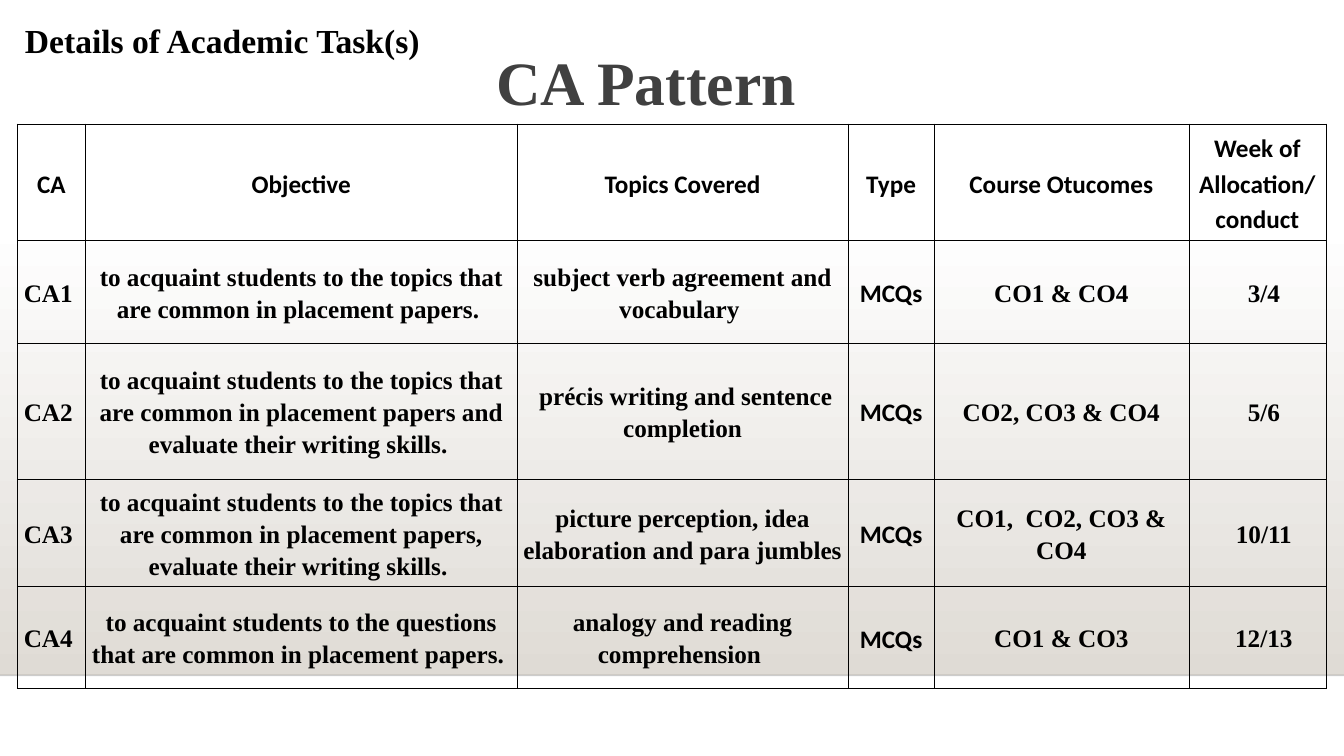
"""Build the CA Pattern slide with its table of academic tasks."""
from lxml import etree
from pptx import Presentation
from pptx import util as u
from pptx.dml.color import RGBColor
from pptx.enum import shapes, text
from pptx.oxml.ns import qn

COLORS = {"ink": "000000", "title": "404040", "white": "FFFFFF", "sand": "DFDBD5"}
SERIF, SANS = "Times New Roman", "Calibri"
WIDTH, HEIGHT = u.Inches(13.34), u.Inches(7.5)
COLUMNS = [0.68, 4.28, 3.29, 0.85, 2.53, 1.36]
ROWS = [1.06, 1.02, 1.35, 1.06, 1.02]
WEEK_INDENT = 0.14
TASKS = [
    ["CA", "Objective", "Topics Covered", "Type", "Course Otucomes",
     "Week of Allocation/ conduct"],
    ["CA1 ", "to acquaint students to the topics that are common in placement papers. ",
     "subject verb agreement and vocabulary ", "MCQs", "CO1 & CO4", "3/4"],
    ["CA2 ", "to acquaint students to the topics that are common in placement papers "
     "and evaluate their writing skills. ",
     " précis writing and sentence completion", "MCQs", "CO2, CO3 & CO4", "5/6"],
    ["CA3 ", "to acquaint students to the topics that are common in placement papers, "
     "evaluate their writing skills. ",
     "picture perception, idea elaboration and para jumbles", "MCQs",
     "CO1,  CO2, CO3 & CO4", "10/11"],
    ["CA4 ", "to acquaint students to the questions that are common in placement papers. ",
     "analogy and reading comprehension ", "MCQs", "CO1 & CO3", "12/13"],
]
HEADINGS = [
    ("Details of Academic Task(s)", 0.15, 0.15, 4.17, 0.5, 24, "ink", text.MSO_ANCHOR.MIDDLE),
    ("CA Pattern", 4.83, 0.39, 3.67, 0.84, 44, "title", text.MSO_ANCHOR.TOP),
]


def style(para, size, face, color):
    para.font.size = u.Pt(size)
    para.font.name = face
    para.font.bold = True
    para.font.color.rgb = RGBColor.from_string(COLORS[color])


def add_borders(cell):
    properties = cell._tc.get_or_add_tcPr()
    for side in ("lnL", "lnR", "lnT", "lnB"):
        line = etree.SubElement(properties, qn(f"a:{side}"), w=str(u.Pt(0.45)))
        fill = etree.SubElement(line, qn("a:solidFill"))
        etree.SubElement(fill, qn("a:srgbClr"), val=COLORS["ink"])


deck = Presentation()
deck.slide_width, deck.slide_height = WIDTH, HEIGHT
page = deck.slides.add_slide(deck.slide_layouts[6])

floor = u.Inches(6.7)
backdrop_top = u.Inches(2.21)
backdrop = page.shapes.add_shape(
    shapes.MSO_SHAPE.RECTANGLE, 0, backdrop_top, WIDTH, floor - backdrop_top)
backdrop.shadow.inherit = False
backdrop.line.fill.background()
backdrop.fill.gradient()
backdrop.fill.gradient_angle = 270
for stop, color in zip(backdrop.fill.gradient_stops, ("white", "sand")):
    stop.color.rgb = RGBColor.from_string(COLORS[color])

floor_line = page.shapes.add_connector(shapes.MSO_CONNECTOR.STRAIGHT, 0, floor, WIDTH, floor)
floor_line.line.width = u.Pt(1)
floor_line.line.color.rgb = RGBColor.from_string(COLORS["ink"])
line_properties = floor_line._element.spPr
etree.SubElement(line_properties.find(".//" + qn("a:srgbClr")), qn("a:alpha"), val="20000")
etree.SubElement(line_properties, qn("a:effectLst"))

table = page.shapes.add_table(
    len(ROWS), len(COLUMNS), u.Inches(0.17), u.Inches(1.23),
    u.Inches(sum(COLUMNS)), u.Inches(sum(ROWS))).table
table.first_row = table.horz_banding = False
for column, width in zip(table.columns, COLUMNS):
    column.width = u.Inches(width)
for row, height in zip(table.rows, ROWS):
    row.height = u.Inches(height)

for r, task in enumerate(TASKS):
    for c, words in enumerate(task):
        cell = table.cell(r, c)
        add_borders(cell)
        cell.fill.background()
        cell.vertical_anchor = text.MSO_ANCHOR.MIDDLE
        is_week = r > 0 and c == len(COLUMNS) - 1
        cell.margin_left = u.Inches(WEEK_INDENT if is_week else 0.01)
        cell.margin_right = u.Inches(0.01)
        para = cell.text_frame.paragraphs[0]
        para.text = words
        para.alignment = text.PP_ALIGN.CENTER
        para.line_spacing = 1.15
        style(para, 18, SANS if r == 0 or words == "MCQs" else SERIF, "ink")

for words, left, top, width, height, size, color, anchor in HEADINGS:
    box = page.shapes.add_textbox(*map(u.Inches, (left, top, width, height)))
    box.text_frame.word_wrap = True
    box.text_frame.vertical_anchor = anchor
    para = box.text_frame.paragraphs[0]
    para.text = words
    style(para, size, SERIF, color)

deck.save("out.pptx")
